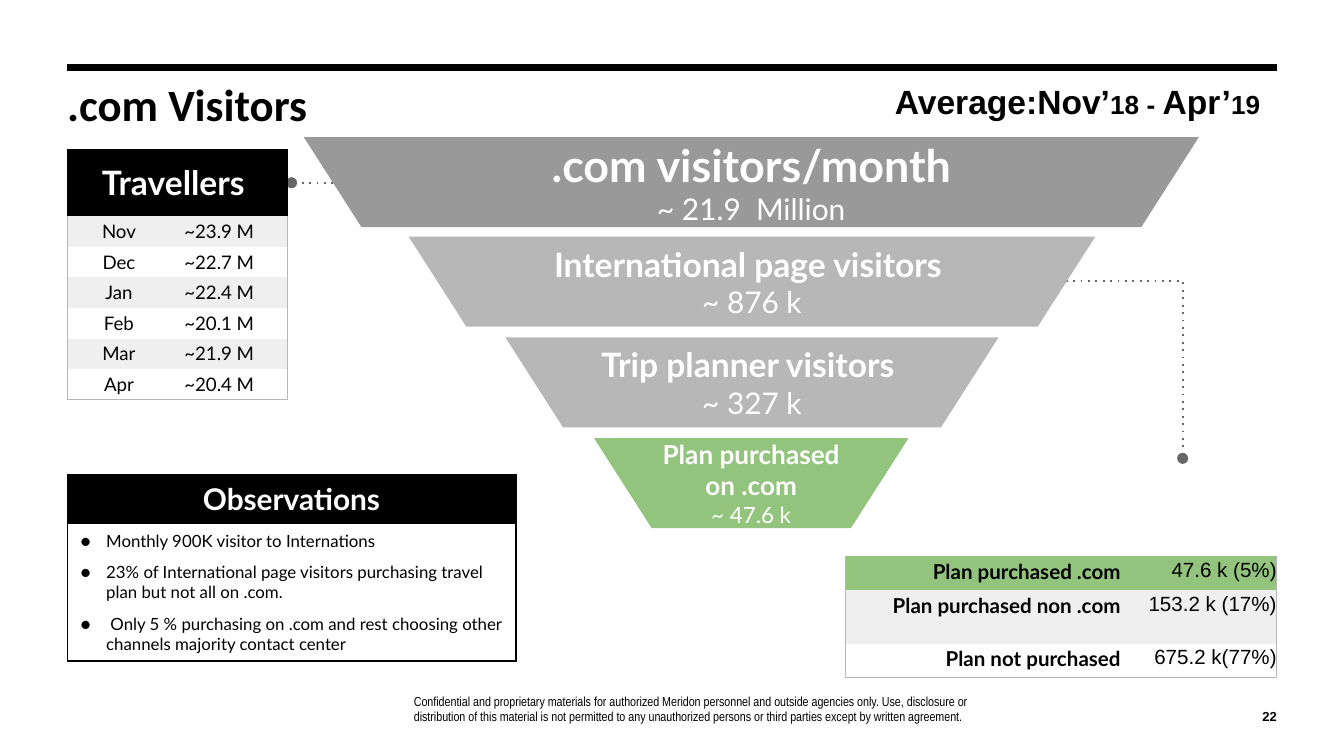
from dataclasses import dataclass
from typing import NamedTuple

from lxml.etree import SubElement
from pptx import Presentation
from pptx.dml.color import RGBColor
from pptx.enum.dml import MSO_LINE
from pptx.enum.shapes import MSO_CONNECTOR, MSO_SHAPE
from pptx.enum.text import MSO_ANCHOR, PP_ALIGN
from pptx.oxml.ns import qn
from pptx.util import Inches, Pt


@dataclass(frozen=True)
class Theme:
    black: str = "000000"
    white: str = "FFFFFF"
    dark_grey: str = "999999"
    grey: str = "B7B7B7"
    pale: str = "EFEFEF"
    link: str = "666666"
    green: str = "93C47D"
    fine: float = 7
    note: float = 9
    small: float = 10
    plan: float = 11
    label: float = 12
    body: float = 14
    value: float = 16
    heading: float = 18
    title: float = 24


THEME = Theme()
LEFT, CENTER, RIGHT = PP_ALIGN.LEFT, PP_ALIGN.CENTER, PP_ALIGN.RIGHT


class Span(NamedTuple):
    text: str
    size: float
    bold: bool = False
    color: str = THEME.black
    font: str = "Lato"


class Para(NamedTuple):
    spans: list[Span]
    align: PP_ALIGN = LEFT
    bullet: bool = False
    spacing: dict = {}


class Cell(NamedTuple):
    paras: list[Para]
    insets: tuple


class Row(NamedTuple):
    height: float
    cells: list[Cell]
    fill: str | None
    line: str
    header: bool = False


class Stage(NamedTuple):
    left: float
    top: float
    width: float
    fill: str
    text_width: float
    label: Span
    value: Span


def write(frame, paras: list[Para]) -> None:
    for index, item in enumerate(paras):
        para = frame.paragraphs[0] if index == 0 else frame.add_paragraph()
        if item.bullet:
            properties = para._p.get_or_add_pPr()
            properties.set("marL", str(Inches(0.19)))
            properties.set("indent", str(-Inches(0.19)))
            SubElement(properties, qn("a:buFont"), typeface="Lato")
            SubElement(properties, qn("a:buChar"), char="●")
        for name, value in {"alignment": item.align, **item.spacing}.items():
            setattr(para, name, value)
        for span in item.spans:
            run = para.add_run()
            run.text = span.text
            formats = {"name": span.font, "size": Pt(span.size), "bold": span.bold}
            for name, value in formats.items():
                setattr(run.font, name, value)
            run.font.color.rgb = RGBColor.from_string(span.color)


def set_insets(target, insets: tuple) -> None:
    for side, inset in zip(("left", "top", "right", "bottom"), insets):
        setattr(target, f"margin_{side}", Inches(inset))


def add_text(page, area: tuple, paras: list[Para], insets=(0, 0, 0, 0), anchor=MSO_ANCHOR.TOP) -> None:
    frame = page.shapes.add_textbox(*map(Inches, area)).text_frame
    frame.word_wrap = True
    frame.vertical_anchor = anchor
    set_insets(frame, insets)
    write(frame, paras)


def add_line(page, start: tuple, end: tuple, color: str, width: float, dotted=False, bent=False) -> None:
    kind = MSO_CONNECTOR.ELBOW if bent else MSO_CONNECTOR.STRAIGHT
    line = page.shapes.add_connector(kind, *map(Inches, start + end))
    line.line.color.rgb = RGBColor.from_string(color)
    line.line.width = Pt(width)
    properties = line.element.spPr
    if bent:
        properties.find(qn("a:prstGeom")).set("prst", "bentConnector2")
    if dotted:
        line.line.dash_style = MSO_LINE.ROUND_DOT
        outline = properties.find(qn("a:ln"))
        outline.find(qn("a:prstDash")).set("val", "dot")
        SubElement(outline, qn("a:tailEnd"), type="oval")
    SubElement(properties, qn("a:effectLst"))


def add_stage(page, stage: Stage) -> None:
    height = 0.67
    shape = page.shapes.add_shape(
        MSO_SHAPE.TRAPEZOID, *map(Inches, (stage.left, stage.top, stage.width, height)))
    shape.rotation = 180
    shape.adjustments[0] = 0.64
    shape.shadow.inherit = False
    shape.fill.solid()
    shape.fill.fore_color.rgb = RGBColor.from_string(stage.fill)
    shape.line.fill.background()
    text_left = stage.left + (stage.width - stage.text_width) / 2
    add_text(page, (text_left, stage.top, stage.text_width, height),
             [Para([stage.label], CENTER), Para([stage.value], CENTER)],
             (0.1,) * 4, MSO_ANCHOR.MIDDLE)


def add_border(cell, edge: str, color: str) -> None:
    line = SubElement(cell._tc.get_or_add_tcPr(), qn(f"a:ln{edge}"), w=str(Pt(0.75)))
    SubElement(SubElement(line, qn("a:solidFill")), qn("a:srgbClr"), val=color)


def add_grid(page, left: float, top: float, widths: list[float], rows: list[Row]) -> None:
    height = sum(row.height for row in rows)
    table = page.shapes.add_table(
        len(rows), len(widths), *map(Inches, (left, top, sum(widths), height))).table
    table.first_row = table.horz_banding = False
    # Plain table style without grid lines
    table._tbl.tblPr.find(qn("a:tableStyleId")).text = "{2D5ABB26-0587-4C30-8999-92F81FD0307C}"
    for column, width in zip(table.columns, widths):
        column.width = Inches(width)
    last = len(widths) - 1
    for y, row in enumerate(rows):
        table.rows[y].height = Inches(row.height)
        if len(row.cells) <= last:
            table.cell(y, 0).merge(table.cell(y, last))
        for x in range(len(widths)):
            cell = table.cell(y, x)
            edges = {"L": x == 0, "R": x == last, "T": row.header, "B": y == len(rows) - 1}
            for edge, shown in edges.items():
                if shown:
                    add_border(cell, edge, row.line)
            if row.fill:
                cell.fill.solid()
                cell.fill.fore_color.rgb = RGBColor.from_string(row.fill)
            else:
                cell.fill.background()
            if x < len(row.cells):
                set_insets(cell, row.cells[x].insets)
                write(cell.text_frame, row.cells[x].paras)


def header_row(height: float, text: str, size: float, insets: tuple) -> Row:
    para = Para([Span(text, size, True, THEME.white)], CENTER)
    return Row(height, [Cell([para], insets)], THEME.black, THEME.black, True)


def make_stage(left, top, width, fill, text_width, label, label_size, value, value_size) -> Stage:
    return Stage(left, top, width, fill, text_width,
                 Span(label, label_size, True, THEME.white), Span(value, value_size, False, THEME.white))


STAGES = [
    make_stage(2.26, 1.02, 6.66, THEME.dark_grey, 3.85, ".com visitors/month", THEME.title, "~ 21.9  Million", THEME.value),
    make_stage(3.04, 1.76, 5.11, THEME.grey, 3.69, "International page visitors ", THEME.heading, "~ 876 k", THEME.value),
    make_stage(3.76, 2.51, 3.67, THEME.grey, 2.92, "Trip planner visitors ", THEME.heading, "~ 327 k", THEME.value),
    make_stage(4.42, 3.26, 2.34, THEME.green, 1.76, "Plan purchased on .com", THEME.body, "~ 47.6 k", THEME.label),
]
TRAVELLERS = {"Nov": "~23.9 M", "Dec": "~22.7 M", "Jan": "~22.4 M",
              "Feb": "~20.1 M", "Mar": "~21.9 M", "Apr": "~20.4 M"}
PLANS = [("Plan purchased .com", "47.6 k (5%)", 0.25, THEME.green),
         ("Plan purchased non .com", "153.2 k (17%)", 0.4, THEME.pale),
         ("Plan not purchased", "675.2 k(77%)", 0.25, None)]
OBSERVATIONS = [
    ("Monthly 900K visitor to Internations", {}),
    ("23% of International page visitors purchasing travel plan but not all on .com.", {"space_before": Pt(6)}),
    (" Only 5 % purchasing on .com and rest choosing other channels majority contact center",
     {"space_before": Pt(6), "space_after": Pt(6)}),
]
FOOTER = ("Confidential and proprietary materials for authorized Meridon personnel and outside agencies only. "
          "Use, disclosure or distribution of this material is not permitted to any unauthorized persons "
          "or third parties except by written agreement.")


def main() -> None:
    deck = Presentation()
    deck.slide_width = Inches(10)
    deck.slide_height = deck.slide_width * 9 // 16
    page = deck.slides.add_slide(deck.slide_layouts[6])

    # Footer, top rule and titles
    add_text(page, (3.08, 5.14, 4.4, 0.25), [Para([Span(FOOTER, THEME.fine, font="Arial Narrow")])],
             (0, 0, 0.2, 0), MSO_ANCHOR.BOTTOM)
    add_text(page, (9.25, 5.14, 0.25, 0.25), [Para([Span("22", THEME.fine, True, font="Arial")], RIGHT)],
             anchor=MSO_ANCHOR.BOTTOM)
    add_line(page, (0.5, 0.5), (9.5, 0.5), THEME.black, 3.75)
    add_text(page, (0.5, 0.65, 9, 0.46),
             [Para([Span(".com Visitors", THEME.title, True, font="Calibri")], spacing={"line_spacing": 0.8})])
    period = [("Average:Nov’", THEME.heading), ("18 - ", THEME.body), ("Apr’", THEME.heading), ("19", THEME.body)]
    add_text(page, (6.56, 0.55, 3, 0.37),
             [Para([Span(text, size, True, font="Arial") for text, size in period])], (0.1, 0.05, 0.1, 0.05))

    # Funnel with its dotted links
    add_line(page, (7.93, 2.09), (8.8, 3.41), THEME.link, 1, dotted=True, bent=True)
    add_line(page, (2.48, 1.36), (2.17, 1.36), THEME.link, 1, dotted=True)
    for stage in STAGES:
        add_stage(page, stage)

    # Plan purchases
    add_grid(page, 6.29, 4.14, [2.15, 1.06], [
        Row(height, [Cell([Para([Span(label, THEME.plan, True)], RIGHT)], (0.1, 0.02, 0.1, 0.02)),
                     Cell([Para([Span(value, THEME.plan, font="Arial")], RIGHT)], (0.1, 0.02, 0, 0.02))],
            fill, THEME.grey) for label, value, height, fill in PLANS])

    # Travellers by month
    months = [Row(0.22, [Cell([Para([Span(month, THEME.small)], CENTER)], (0.1, 0.03, 0.1, 0.03)),
                         Cell([Para([Span(count, THEME.small)], RIGHT)], (0.1, 0.03, 0.25, 0.03))],
                  None if index % 2 else THEME.pale, THEME.grey)
              for index, (month, count) in enumerate(TRAVELLERS.items())]
    add_grid(page, 0.5, 1.11, [0.77, 0.87],
             [header_row(0.5, "Travellers ", THEME.heading, (0, 0.1, 0, 0.1)), *months])

    # Observations
    insets = (0.1, 0.05, 0.1, 0.05)
    notes = [Para([Span(text, THEME.note)], bullet=True, spacing=spacing) for text, spacing in OBSERVATIONS]
    add_grid(page, 0.5, 3.53, [3.34], [header_row(0.37, "Observations", THEME.value, insets),
                                       Row(1.01, [Cell(notes, insets)], None, THEME.black)])

    deck.save("out.pptx")


if __name__ == "__main__":
    main()
